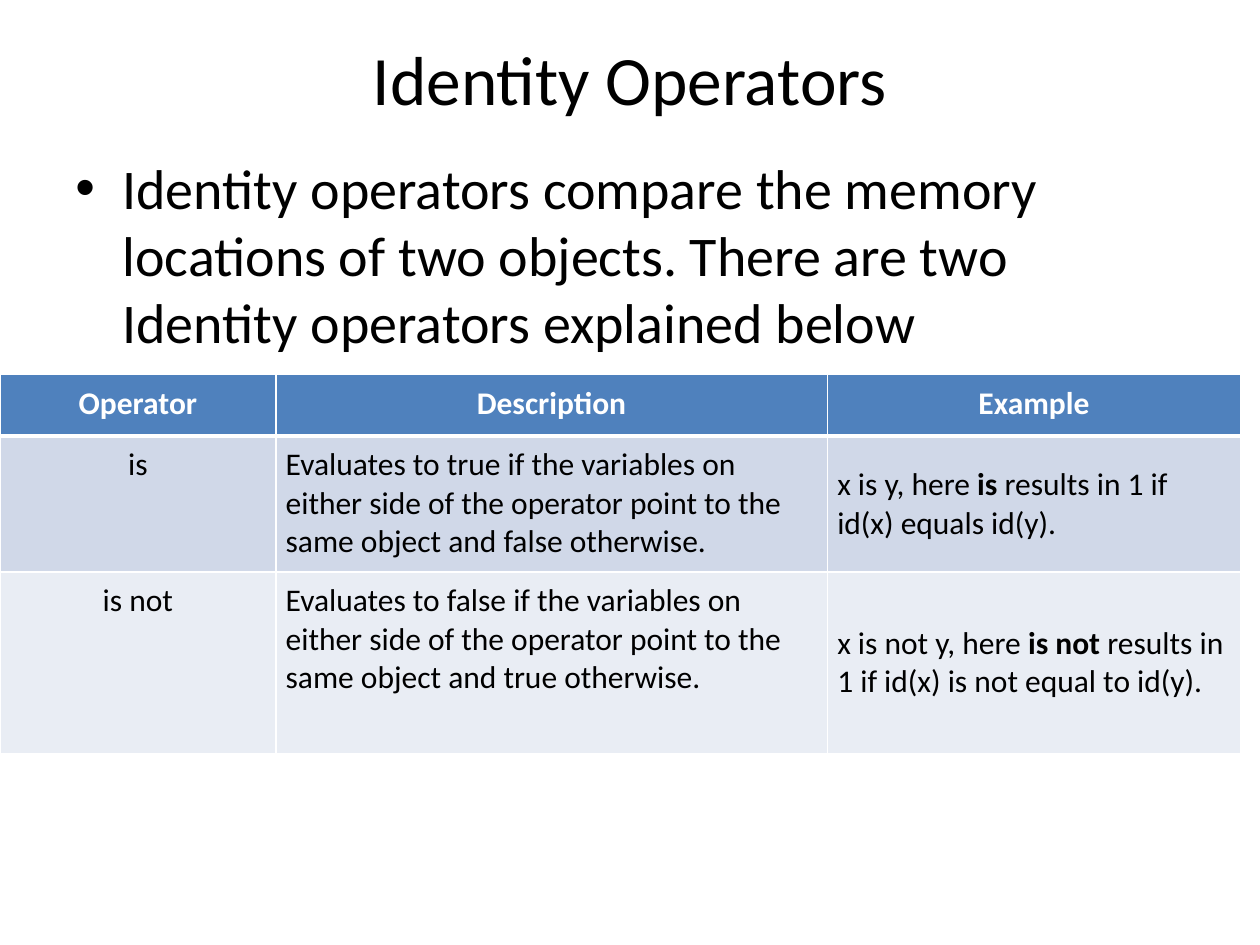
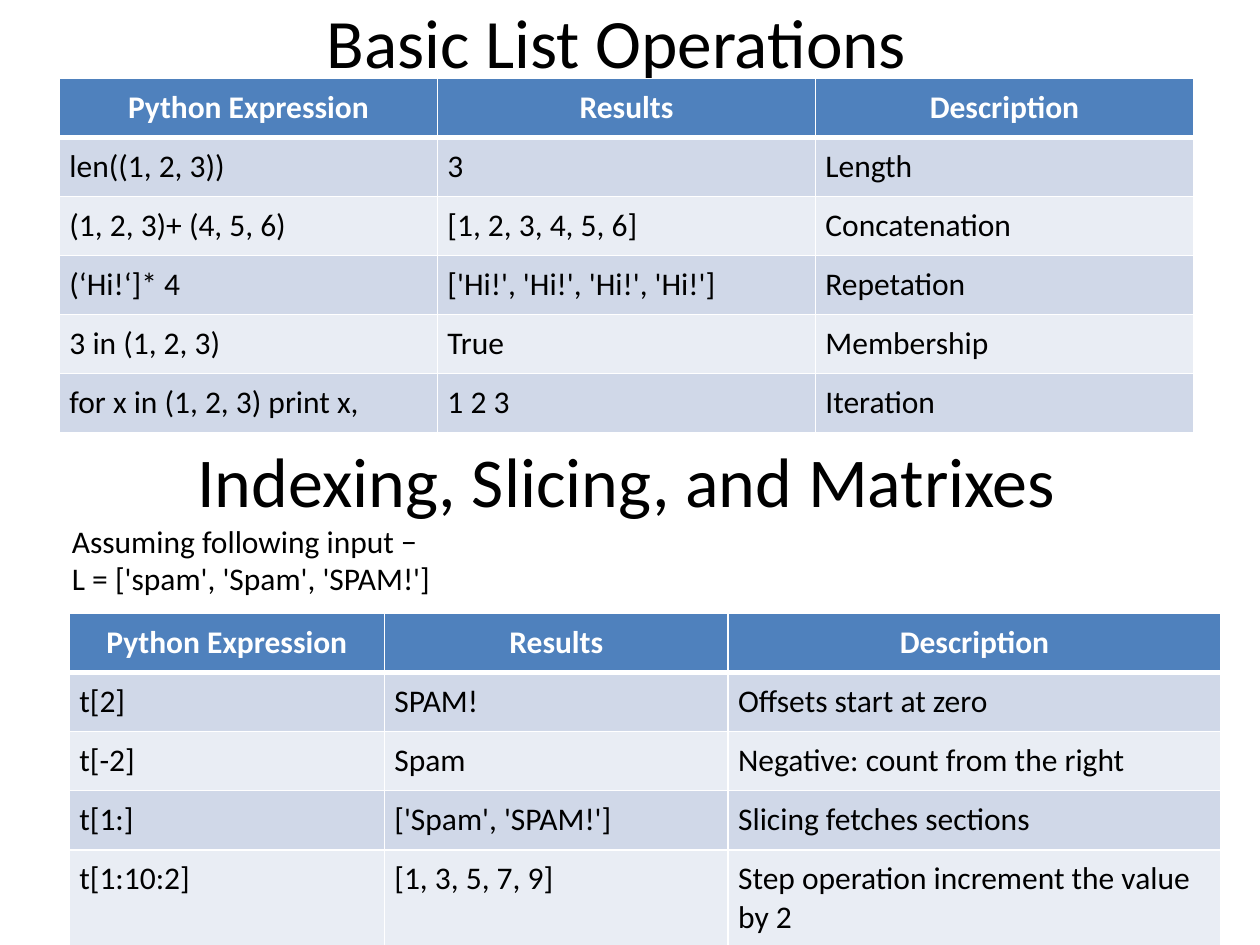
from dataclasses import dataclass

from lxml.etree import SubElement
from pptx import Presentation
from pptx.dml.color import RGBColor
from pptx.enum.text import MSO_ANCHOR as Anchor, PP_ALIGN as Align
from pptx.oxml.ns import qn
from pptx.util import Cm, Pt


@dataclass(frozen=True)
class Theme:
    font: str = "Calibri"
    ink: str = "000000"
    paper: str = "FFFFFF"
    header: str = "4F81BD"
    bands: tuple = ("D0D8E8", "E9EDF4")
    title_size: float = 39.6
    heading_size: float = 40
    body_size: float = 32
    small_size: float = 18
    rule: float = 1
    header_rule: float = 3
    cell_inset: float = 0.2


THEME = Theme()
ROW = 1.19  # height of a one-line table row

IDENTITY_ROWS = [
    ("Operator", "Description", "Example"),
    ("is",
     "Evaluates to true if the variables on either side of the operator "
     "point to the same object and false otherwise.",
     "x is y, here **is** results in 1 if id(x) equals id(y)."),
    ("is not",
     "Evaluates to false if the variables on either side of the operator "
     "point to the same object and true otherwise.",
     "x is not y, here **is not** results in 1 if id(x) is not equal to id(y)."),
]
LIST_HEADER = ("Python Expression", "Results", "Description")
LIST_ROWS = [
    LIST_HEADER,
    ("len((1, 2, 3))", "3", "Length"),
    ("(1, 2, 3)+ (4, 5, 6)", "[1, 2, 3, 4, 5, 6]", "Concatenation"),
    ("(‘Hi!‘]* 4", "['Hi!', 'Hi!', 'Hi!', 'Hi!']", "Repetation"),
    ("3 in (1, 2, 3)", "True", "Membership"),
    ("for x in (1, 2, 3) print x,", "1 2 3", "Iteration"),
]
INDEXING_ROWS = [
    LIST_HEADER,
    ("t[2]", "SPAM!", "Offsets start at zero"),
    ("t[-2]", "Spam", "Negative: count from the right"),
    ("t[1:]", "['Spam', 'SPAM!']", "Slicing fetches sections"),
    ("t[1:10:2]", "[1, 3, 5, 7, 9]", "Step operation increment the value by 2"),
]


def style_run(run, size, color=THEME.ink, bold=False):
    run.font.name = THEME.font
    run.font.size = Pt(size)
    run.font.bold = bold
    run.font.color.rgb = RGBColor.from_string(color)


def add_text(slide, left, top, width, height, lines, anchor=Anchor.TOP):
    """Add a text box; lines holds (text, size, alignment) for each paragraph."""
    frame = slide.shapes.add_textbox(Cm(left), Cm(top), Cm(width), Cm(height)).text_frame
    frame.word_wrap = True
    frame.vertical_anchor = anchor
    frame.text = "\n".join(text for text, _, _ in lines)
    for paragraph, (_, size, align) in zip(frame.paragraphs, lines):
        paragraph.alignment = align
        style_run(paragraph.runs[0], size)
    return frame


def add_title(slide, left, top, text):
    add_text(slide, left, top, 22.86, 1.63,
             [(text, THEME.title_size, Align.CENTER)], Anchor.MIDDLE)


def add_bullet(paragraph, indent):
    properties = paragraph._p.get_or_add_pPr()
    properties.set("marL", str(Cm(indent)))
    properties.set("indent", str(-Cm(indent)))
    SubElement(properties, qn("a:buFont"), typeface="Arial")
    SubElement(properties, qn("a:buChar"), char="•")


def set_borders(cell, top, bottom):
    properties = cell._tc.get_or_add_tcPr()
    widths = {"L": THEME.rule, "R": THEME.rule, "T": top, "B": bottom}
    for side, width in widths.items():
        line = SubElement(properties, qn(f"a:ln{side}"), w=str(Pt(width)))
        fill = SubElement(line, qn("a:solidFill"))
        SubElement(fill, qn("a:srgbClr"), val=THEME.paper)


def fill_cell(cell, text, row, align, anchor):
    is_header = row == 0
    set_borders(cell,
                top=THEME.header_rule if row == 1 else THEME.rule,
                bottom=THEME.header_rule if is_header else THEME.rule)
    cell.fill.solid()
    background = THEME.header if is_header else THEME.bands[(row - 1) % 2]
    cell.fill.fore_color.rgb = RGBColor.from_string(background)
    inset = Cm(THEME.cell_inset)
    cell.margin_left = cell.margin_right = cell.margin_top = cell.margin_bottom = inset
    cell.vertical_anchor = anchor
    paragraph = cell.text_frame.paragraphs[0]
    paragraph.alignment = align
    # Text between ** marks is bold
    for index, part in enumerate(text.split("**")):
        run = paragraph.add_run()
        run.text = part
        style_run(run, THEME.small_size, THEME.paper if is_header else THEME.ink,
                  bold=is_header or index % 2 == 1)


def add_grid(slide, left, top, widths, heights, rows, centered=(), middle=()):
    """Add a banded table; centered and middle list columns of special alignment."""
    table = slide.shapes.add_table(len(rows), len(widths), Cm(left), Cm(top),
                                   Cm(sum(widths)), Cm(sum(heights))).table
    for column, width in zip(table.columns, widths):
        column.width = Cm(width)
    for table_row, height in zip(table.rows, heights):
        table_row.height = Cm(height)
    for r, texts in enumerate(rows):
        for c, text in enumerate(texts):
            align = Align.CENTER if r == 0 or c in centered else Align.LEFT
            anchor = Anchor.MIDDLE if r > 0 and c in middle else Anchor.TOP
            fill_cell(table.cell(r, c), text, r, align, anchor)


def build_identity_slide(slide):
    add_title(slide, 1.27, 0.76, "Identity Operators")
    intro = add_text(slide, 1.27, 2.97, 22.86, 15.67, [
        ("Identity operators compare the memory locations of two objects. "
         "There are two Identity operators explained below",
         THEME.body_size, Align.LEFT)])
    add_bullet(intro.paragraphs[0], 0.95)
    add_grid(slide, 0, 7.55, (5.56, 11.12, 8.33), (1.24, 2.74, 3.66),
             IDENTITY_ROWS, centered=(0,), middle=(2,))


def build_list_slide(slide):
    # Basic operations
    add_title(slide, 1, 0, "Basic List Operations")
    add_grid(slide, 1.2, 1.58, [7.62] * 3, [ROW] * len(LIST_ROWS), LIST_ROWS)
    # Indexing and slicing
    add_text(slide, 1.2, 8.74, 22.86, 3.38, [
        ("Indexing, Slicing, and Matrixes", THEME.heading_size, Align.CENTER),
        ("Assuming following input −", THEME.small_size, Align.LEFT),
        ("L = ['spam', 'Spam', 'SPAM!']", THEME.small_size, Align.LEFT)],
        Anchor.MIDDLE)
    add_grid(slide, 1.4, 12.37, (6.35, 6.93, 9.93), [ROW] * 4 + [1.9], INDEXING_ROWS)


def main():
    deck = Presentation()
    deck.slide_width, deck.slide_height = Cm(25.4), Cm(19.05)
    blank = deck.slide_layouts[6]
    for build in (build_identity_slide, build_list_slide):
        build(deck.slides.add_slide(blank))
    deck.save("out.pptx")


if __name__ == "__main__":
    main()
